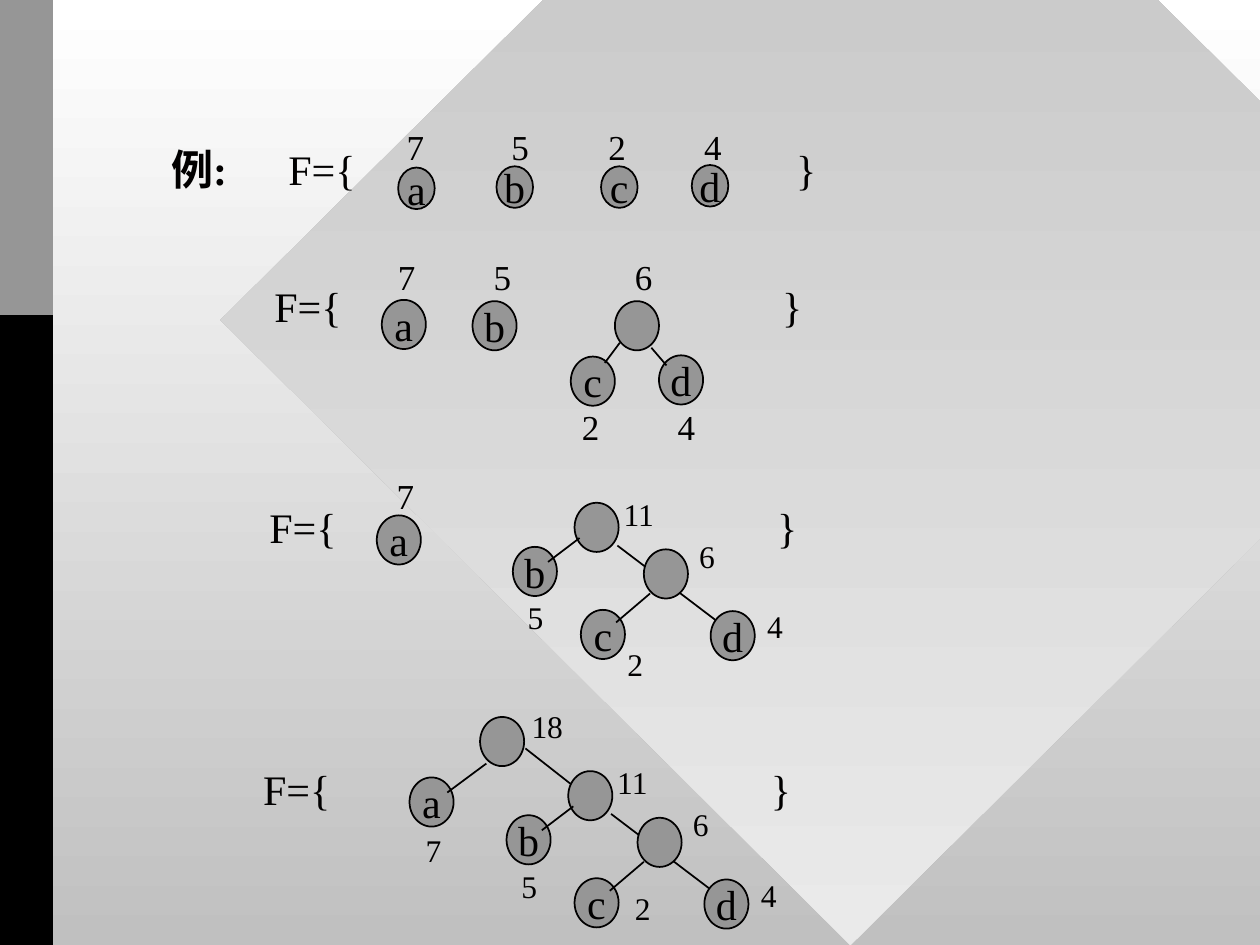
from dataclasses import dataclass

from lxml import etree
from pptx import Presentation
from pptx.dml.color import RGBColor
from pptx.enum.shapes import MSO_CONNECTOR, MSO_SHAPE
from pptx.enum.text import MSO_ANCHOR, MSO_AUTO_SIZE, PP_ALIGN
from pptx.oxml.ns import qn
from pptx.util import Inches, Pt

DIAMOND, OVAL, RECT = MSO_SHAPE.DIAMOND, MSO_SHAPE.OVAL, MSO_SHAPE.RECTANGLE
STRAIGHT = MSO_CONNECTOR.STRAIGHT
MIDDLE, CENTER = MSO_ANCHOR.MIDDLE, PP_ALIGN.CENTER
GROW = MSO_AUTO_SIZE.SHAPE_TO_FIT_TEXT

FONT = "Times New Roman"
INK = RGBColor(0x01, 0x00, 0x00)
BLACK = RGBColor(0x00, 0x00, 0x00)
GRAY = RGBColor(0x96, 0x96, 0x96)
SILVER = RGBColor(0xC0, 0xC0, 0xC0)
PALE = RGBColor(0xEA, 0xEA, 0xEA)
WHITE = RGBColor(0xFF, 0xFF, 0xFF)

BRACE_TAB = 4.03  # distance from "F" to the closing brace


@dataclass
class Node:
    x: float
    y: float
    name: str = ""
    w: float = 0.35
    h: float = 0.39


@dataclass
class Edge:
    x1: float
    y1: float
    x2: float
    y2: float


@dataclass
class Label:
    x: float
    y: float
    w: float
    text: str
    size: int = 18
    h: float = 0.4
    tabs: tuple[float, ...] = ()
    lead: str = ""  # bold opening words


def forest(x: float, y: float) -> Label:
    return Label(x, y, 4.76, "F={\t}", 24, 0.5, (BRACE_TAB,))


ITEMS = [
    Edge(1.33, 6.42, 1.33, 6.42),
    # four single nodes
    Node(3.16, 1.33, "a", 0.29, 0.33),
    Node(3.94, 1.32, "b", 0.29, 0.33),
    Node(4.77, 1.32, "c", 0.29, 0.33),
    Node(5.49, 1.31, "d", 0.29, 0.33),
    Label(3.13, 0.95, 2.93, "7\t5\t2\t4", 20, 0.44, (0.83, 1.6, 2.36)),
    Label(1.26, 1.09, 5.71, "\tF={\t}", 24, 0.5, (0.93, 0.93 + BRACE_TAB), "例:"),
    # c and d joined
    Node(3.03, 2.38, "a"),
    Node(3.75, 2.39, "b"),
    forest(2.08, 2.18),
    Node(4.53, 2.83, "c"),
    Node(5.23, 2.82, "d"),
    Node(4.88, 2.39),
    Edge(4.92, 2.72, 4.8, 2.88),
    Edge(5.17, 2.76, 5.29, 2.9),
    Label(3.06, 1.98, 3.07, "7\t5\t6", 20, 0.44, (0.76, 1.88)),
    Label(4.52, 3.17, 1.35, "2\t4", 20, 0.44, (0.76,)),
    # b joined
    forest(2.04, 3.93),
    Node(2.99, 4.09, "a"),
    Label(3.05, 3.72, 0.31, "7", 20, 0.44),
    Label(4.88, 5.07, 0.39, "2"),
    # a joined
    Node(3.81, 5.69),
    forest(1.99, 6.01),
    Node(3.25, 6.17, "a"),
    Label(4.94, 7.01, 0.39, "2"),
    Edge(3.86, 6.06, 3.55, 6.29),
    Edge(4.17, 5.94, 4.54, 6.23),
    Label(3.28, 6.55, 0.27, "7"),
    Label(4.12, 5.56, 0.59, "18"),
]

# The tree of weight 11 appears in the last two forests
SUBTREE = [
    Edge(4.9, 4.33, 5.73, 4.96),
    Node(4.07, 4.34, "b"),
    Node(4.56, 3.99),
    Node(5.11, 4.36),
    Node(4.61, 4.84, "c"),
    Node(5.64, 4.85, "d"),
    Edge(4.6, 4.27, 4.35, 4.46),
    Edge(5.16, 4.71, 4.89, 4.94),
    Label(4.85, 3.88, 0.58, "11"),
    Label(5.45, 4.21, 0.5, "6"),
    Label(5.99, 4.77, 0.69, "4"),
    Label(4.09, 4.7, 0.37, "5"),
]
SUBTREE_SHIFTS = [(0, 0), (-0.05, 2.13)]


def set_gradient(fill, top: RGBColor, bottom: RGBColor) -> None:
    fill.gradient()
    fill.gradient_angle = 270
    for stop, color in zip(fill.gradient_stops, (top, bottom)):
        stop.color.rgb = color


def set_font(p, size: int) -> None:
    p.font.name = FONT
    p.font.size = Pt(size)
    p.font.color.rgb = INK


def add_plain(s, kind, x: float, y: float, w: float, h: float):
    """Add a preset shape with neither shadow nor outline."""
    sp = s.shapes.add_shape(kind, Inches(x), Inches(y), Inches(w), Inches(h))
    sp.shadow.inherit = False
    sp.line.fill.background()
    return sp


def add_solid(s, kind, x: float, y: float, w: float, h: float, color: RGBColor):
    sp = add_plain(s, kind, x, y, w, h)
    sp.fill.solid()
    sp.fill.fore_color.rgb = color
    return sp


def add_node(s, node: Node, dx: float, dy: float) -> None:
    sp = add_solid(s, OVAL, node.x + dx, node.y + dy, node.w, node.h, GRAY)
    sp.line.color.rgb = INK
    sp.line.width = Pt(1)
    if node.name:
        tf = sp.text_frame
        tf.word_wrap = False
        tf.vertical_anchor = MIDDLE
        p = tf.paragraphs[0]
        p.text = node.name
        p.alignment = CENTER
        set_font(p, 24)


def add_edge(s, edge: Edge, dx: float, dy: float) -> None:
    line = s.shapes.add_connector(
        STRAIGHT, Inches(edge.x1 + dx), Inches(edge.y1 + dy),
        Inches(edge.x2 + dx), Inches(edge.y2 + dy))
    line.line.color.rgb = INK
    line.line.width = Pt(1)
    etree.SubElement(line._element.spPr, qn("a:effectLst"))


def add_label(s, label: Label, dx: float, dy: float) -> None:
    box = s.shapes.add_textbox(Inches(label.x + dx), Inches(label.y + dy),
                               Inches(label.w), Inches(label.h))
    tf = box.text_frame
    tf.word_wrap = True
    tf.auto_size = GROW
    p = tf.paragraphs[0]
    if label.tabs:
        tabs = etree.SubElement(p._p.get_or_add_pPr(), qn("a:tabLst"))
        for pos in label.tabs:
            etree.SubElement(tabs, qn("a:tab"), pos=str(Inches(pos)), algn="l")
    set_font(p, label.size)
    if label.lead:
        r = p.add_run()
        r.text = label.lead
        r.font.bold = True
    p.add_run().text = label.text


DRAW = {Node: add_node, Edge: add_edge, Label: add_label}


def draw_all(s, items: list, dx: float = 0, dy: float = 0) -> None:
    for item in items:
        DRAW[type(item)](s, item, dx, dy)


def main() -> None:
    prs = Presentation()
    prs.slide_width, prs.slide_height = Inches(10), Inches(7.5)
    s = prs.slides.add_slide(prs.slide_layouts[6])

    set_gradient(s.background.fill, WHITE, SILVER)
    diamond = add_plain(s, DIAMOND, 1.75, -2.42, 10, 9.92)
    set_gradient(diamond.fill, SILVER, PALE)
    add_solid(s, RECT, 0, 0, 0.42, 7.5, BLACK)
    add_solid(s, RECT, 0, 0, 0.42, 2.5, GRAY)

    draw_all(s, ITEMS)
    for dx, dy in SUBTREE_SHIFTS:
        draw_all(s, SUBTREE, dx, dy)
    prs.save("out.pptx")


if __name__ == "__main__":
    main()
